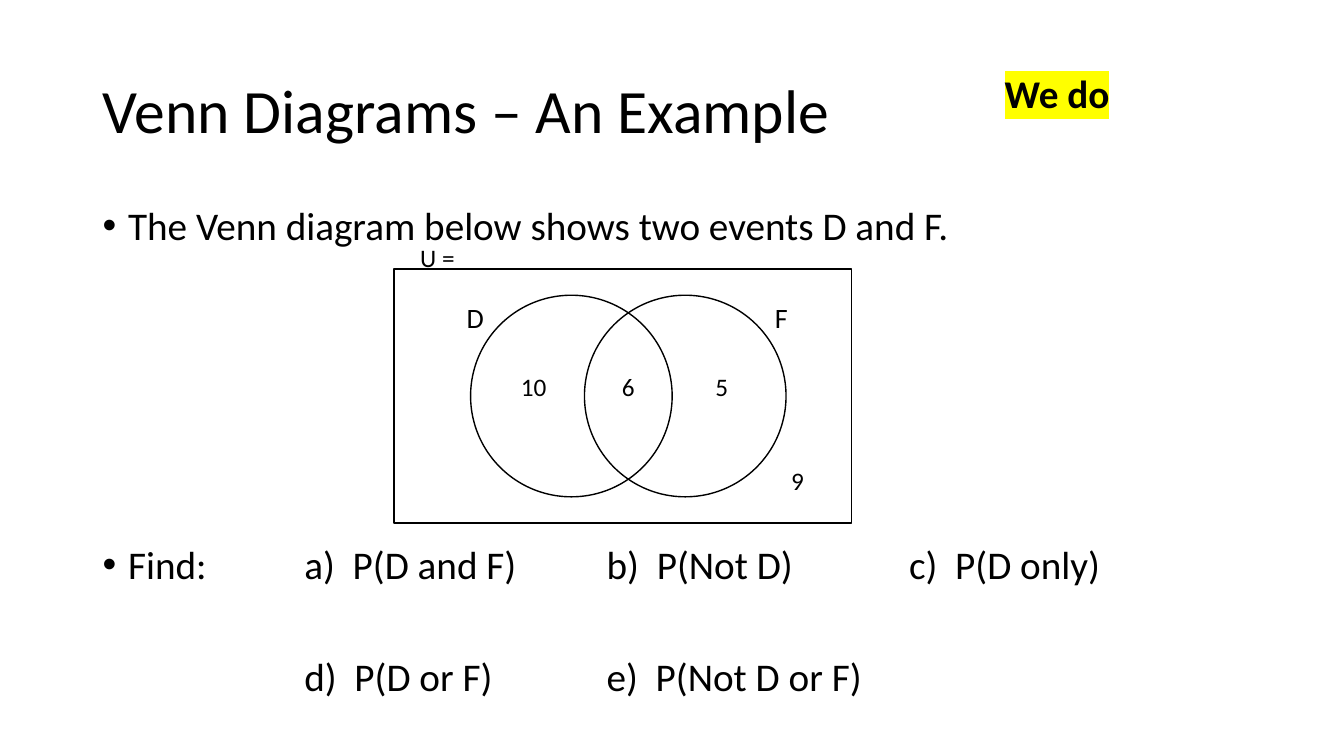
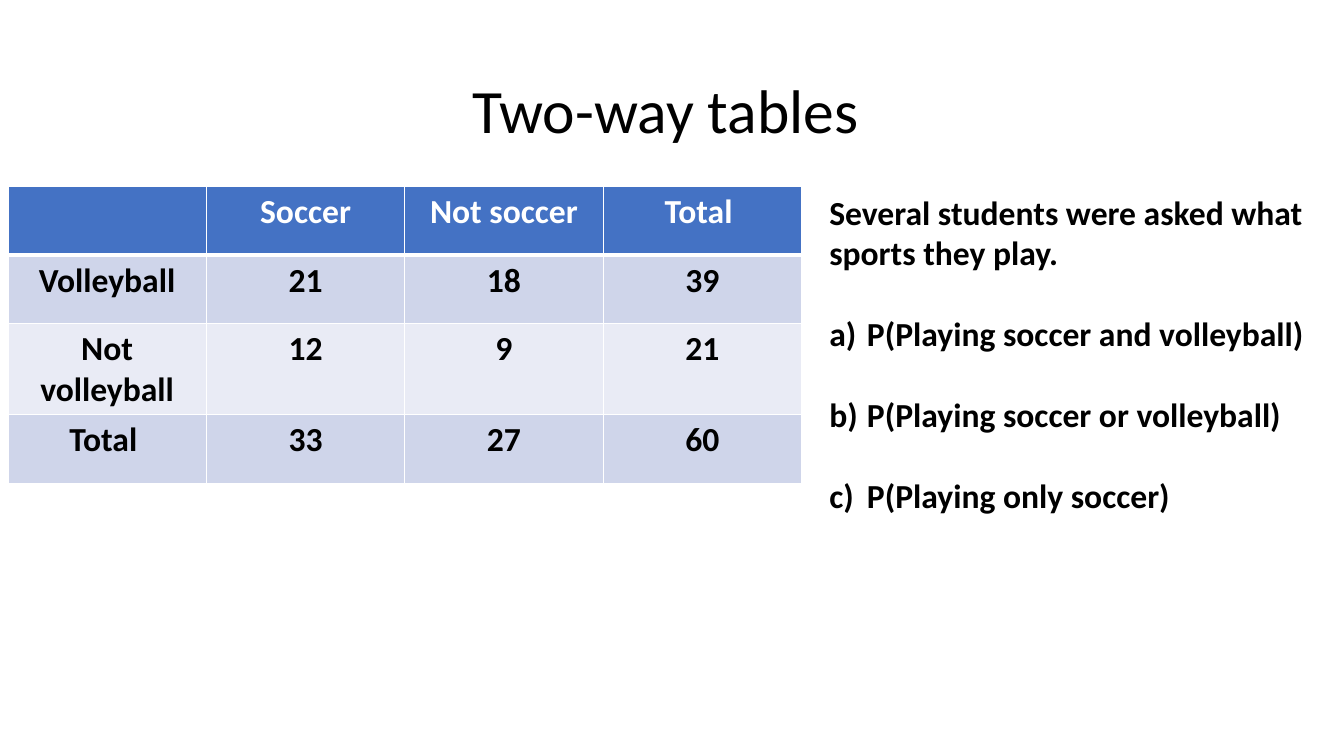
from dataclasses import dataclass

from lxml.etree import SubElement
from pptx import Presentation
from pptx.dml.color import RGBColor
from pptx.enum.shapes import MSO_SHAPE
from pptx.enum.text import MSO_ANCHOR, PP_ALIGN
from pptx.oxml.ns import qn
from pptx.util import Cm, Pt


@dataclass(frozen=True)
class Theme:
    font: str = "Calibri"
    ink: str = "000000"
    paper: str = "FFFFFF"
    marker: str = "FFFF00"
    header: str = "4472C4"
    bands: tuple = ("CFD5EA", "E9EBF5")
    title: int = 44
    body: int = 28
    table: int = 24
    event: int = 20
    count: int = 18


THEME = Theme()

VENN_TITLE = "Venn Diagrams – An Example"
VENN_INTRO = "The Venn diagram below shows two events D and F."
VENN_QUESTIONS = [
    "Find:\ta)  P(D and F)\tb)  P(Not D)\tc)  P(D only)",
    "\td)  P(D or F)\te)  P(Not D or F)",
]
QUESTION_TABS = (5.08, 12.7, 20.32)
LESSON_STAGE = "We do"
UNIVERSE = (9.93, 6.78, 11.53, 6.4)
CIRCLE_LEFTS = (11.86, 14.73)
CIRCLE_TOP, CIRCLE_SIZE = 7.44, 5.08
VENN_LABELS = [
    ("D", 11.51, 7.44, THEME.event),
    ("F", 19.28, 7.44, THEME.event),
    ("10", 12.88, 9.22, THEME.count),
    ("6", 15.42, 9.22, THEME.count),
    ("5", 17.78, 9.22, THEME.count),
    ("9", 19.69, 11.61, THEME.count),
    ("U =", 10.34, 5.99, THEME.count),
]

TABLE_TITLE = "Two-way tables "
SPORTS = [
    ("", "Soccer", "Not soccer", "Total "),
    ("Volleyball", "21", "18", "39"),
    ("Not volleyball", "12", "9", "21"),
    ("Total ", "33", "27", "60"),
]
COLUMN_WIDTH, ROW_HEIGHT = 5, 1.73
SURVEY = "Several students were asked what sports they play."
SURVEY_QUESTIONS = [
    "P(Playing soccer and volleyball)",
    "P(Playing soccer or volleyball)",
    "P(Playing only soccer)",
]


def colour(value):
    return RGBColor.from_string(value)


def add_run(paragraph, text, size, ink=THEME.ink, bold=False, marker=None):
    run = paragraph.add_run()
    run.text = text
    font = run.font
    font.name, font.size, font.bold = THEME.font, Pt(size), bold
    font.color.rgb = colour(ink)
    if marker:
        properties = run._r.get_or_add_rPr()
        highlight = SubElement(properties, qn("a:highlight"))
        SubElement(highlight, qn("a:srgbClr"), val=marker)
        properties.find(qn("a:latin")).addprevious(highlight)


def add_frame(slide, left, top, width, height):
    frame = slide.shapes.add_textbox(Cm(left), Cm(top), Cm(width), Cm(height)).text_frame
    frame.word_wrap = True
    return frame


def hang(paragraph, indent, bullet=None, numbering=None):
    properties = paragraph._p.get_or_add_pPr()
    properties.set("marL", str(Cm(indent)))
    properties.set("indent", str(-Cm(indent)))
    if bullet:
        SubElement(properties, qn("a:buFont"), typeface="Arial")
        SubElement(properties, qn("a:buChar"), char=bullet)
    if numbering:
        SubElement(properties, qn("a:buAutoNum"), type=numbering)


def set_tabs(paragraph, stops):
    tabs = SubElement(paragraph._p.get_or_add_pPr(), qn("a:tabLst"))
    for stop in stops:
        SubElement(tabs, qn("a:tab"), pos=str(Cm(stop)), algn="l")


def add_title(slide, text, align=PP_ALIGN.LEFT):
    frame = add_frame(slide, 2.34, 1.02, 29.21, 3.68)
    frame.vertical_anchor = MSO_ANCHOR.MIDDLE
    heading = frame.paragraphs[0]
    heading.alignment, heading.line_spacing = align, 0.9
    add_run(heading, text, THEME.title)


def add_outline(slide, preset, left, top, width, height):
    outline = slide.shapes.add_shape(preset, Cm(left), Cm(top), Cm(width), Cm(height))
    outline.shadow.inherit = False
    outline.fill.background()
    outline.line.color.rgb = colour(THEME.ink)
    outline.line.width = Pt(1)


def set_borders(cell, bottom):
    properties = cell._tc.get_or_add_tcPr()
    widths = {"a:lnL": 1, "a:lnR": 1, "a:lnT": 1, "a:lnB": bottom}
    for position, (side, width) in enumerate(widths.items()):
        line = SubElement(properties, qn(side), w=str(Pt(width)))
        fill = SubElement(line, qn("a:solidFill"))
        SubElement(fill, qn("a:srgbClr"), val=THEME.paper)
        properties.insert(position, line)


def build_venn(slide):
    add_title(slide, VENN_TITLE)
    intro = add_frame(slide, 2.34, 5.08, 29.21, 1.4).paragraphs[0]
    hang(intro, 0.64, bullet="•")
    intro.line_spacing = 0.9
    add_run(intro, VENN_INTRO, THEME.body)

    questions = add_frame(slide, 2.34, 13.62, 29.21, 4.6)
    for index, text in enumerate(VENN_QUESTIONS):
        line = questions.add_paragraph() if index else questions.paragraphs[0]
        if index == 0:
            hang(line, 0.64, bullet="•")
        set_tabs(line, QUESTION_TABS)
        line.line_spacing = 0.9
        if index:
            line.space_before = Pt(50)
        add_run(line, text, THEME.body)

    add_outline(slide, MSO_SHAPE.RECTANGLE, *UNIVERSE)
    for left in CIRCLE_LEFTS:
        add_outline(slide, MSO_SHAPE.OVAL, left, CIRCLE_TOP, CIRCLE_SIZE, CIRCLE_SIZE)
    for text, left, top, size in VENN_LABELS:
        add_run(add_frame(slide, left, top, 1.52, 1.02).paragraphs[0], text, size)

    stage = add_frame(slide, 25.07, 1.63, 5.97, 1.45).paragraphs[0]
    add_run(stage, LESSON_STAGE, THEME.body, bold=True, marker=THEME.marker)


def build_sports(slide):
    add_title(slide, TABLE_TITLE, PP_ALIGN.CENTER)
    rows, columns = len(SPORTS), len(SPORTS[0])
    sports = slide.shapes.add_table(
        rows, columns, Cm(0.2), Cm(4.7), Cm(columns * COLUMN_WIDTH), Cm(rows * ROW_HEIGHT)
    ).table
    for r, values in enumerate(SPORTS):
        sports.rows[r].height = Cm(ROW_HEIGHT)
        header = r == 0
        for c, value in enumerate(values):
            cell = sports.cell(r, c)
            cell.fill.solid()
            cell.fill.fore_color.rgb = colour(THEME.header if header else THEME.bands[(r - 1) % 2])
            set_borders(cell, 3 if header else 1)
            entry = cell.text_frame.paragraphs[0]
            entry.alignment = PP_ALIGN.CENTER
            if value:
                add_run(entry, value, THEME.table, THEME.paper if header else THEME.ink, True)

    survey = add_frame(slide, 20.65, 4.7, 13.22, 8.46)
    add_run(survey.paragraphs[0], SURVEY, THEME.table, bold=True)
    for text in SURVEY_QUESTIONS:
        question = survey.add_paragraph()
        hang(question, 0.95, numbering="alphaLcParenR")
        question.space_before = Pt(29)
        add_run(question, text, THEME.table, bold=True)


def main():
    deck = Presentation()
    deck.slide_width, deck.slide_height = Cm(33.87), Cm(19.05)
    for build in (build_venn, build_sports):
        build(deck.slides.add_slide(deck.slide_layouts[6]))
    deck.save("out.pptx")


if __name__ == "__main__":
    main()
